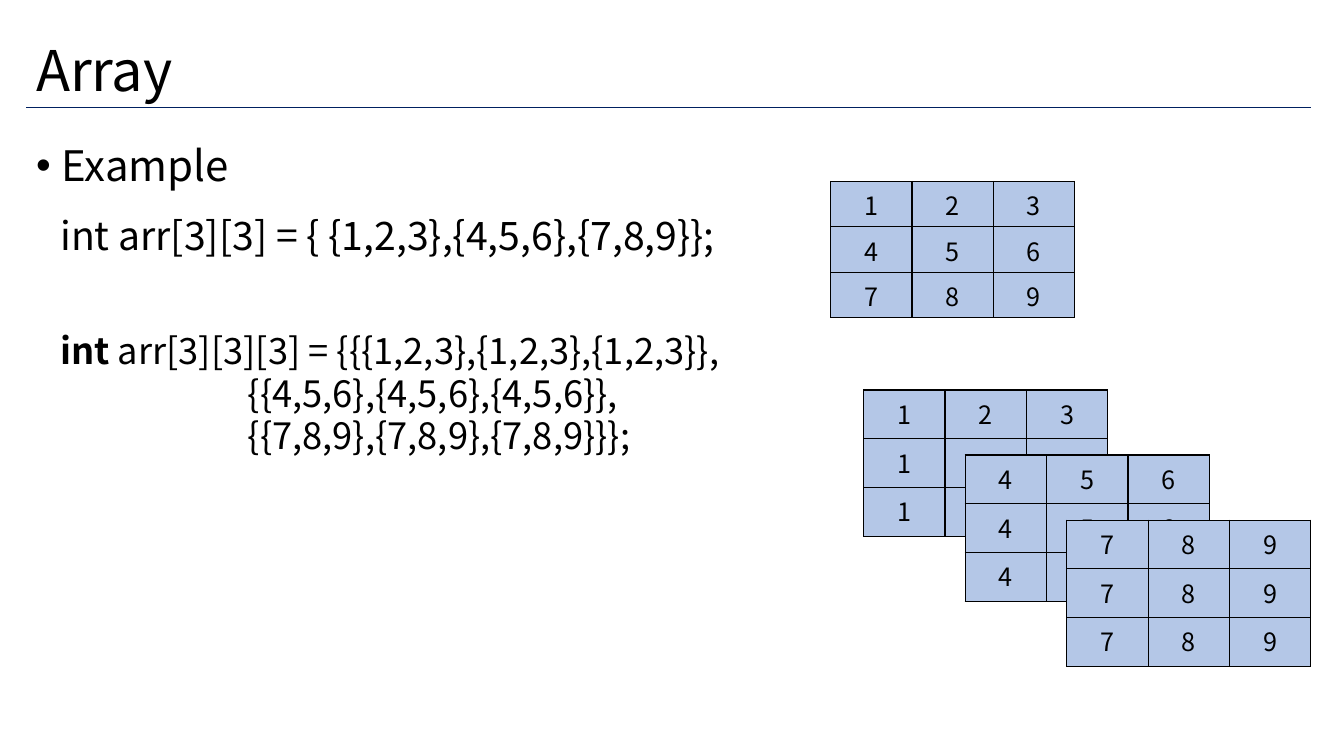
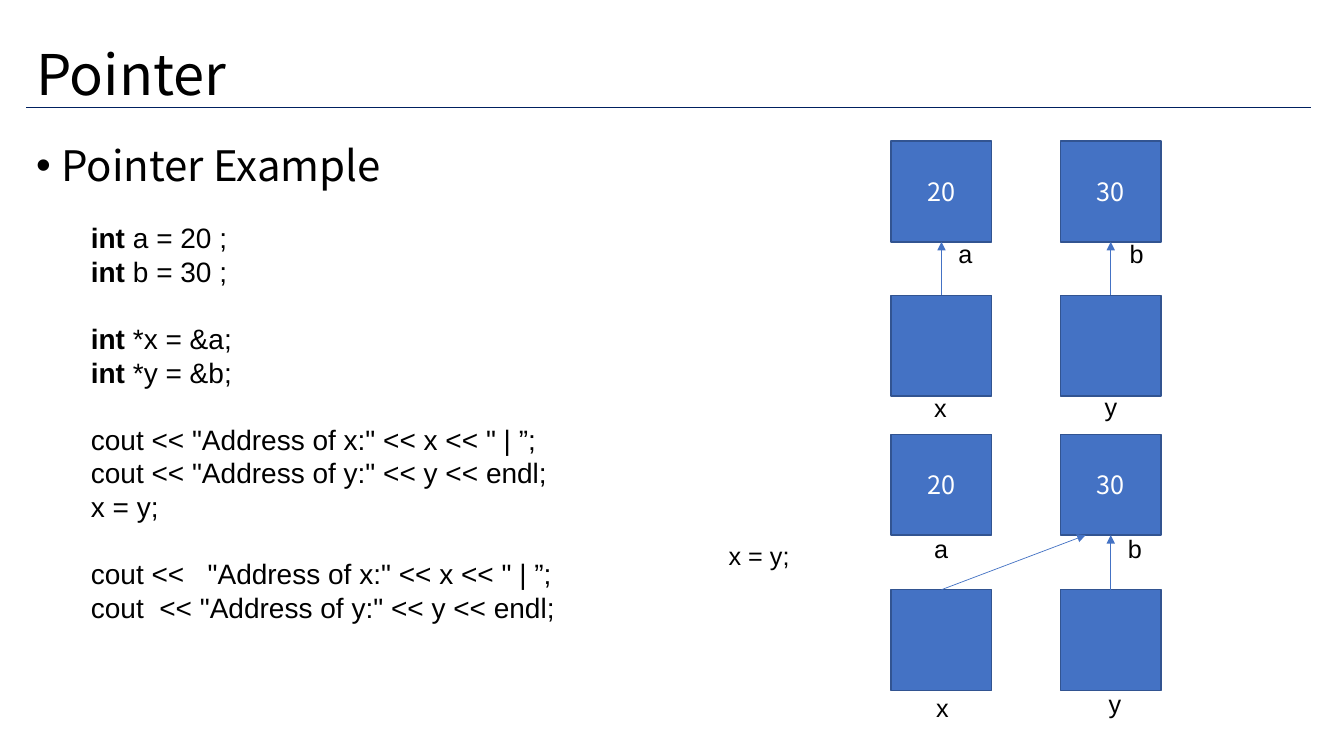
from lxml import etree
from pptx import Presentation
from pptx.dml.color import RGBColor
from pptx.enum import shapes, text
from pptx.oxml import ns
from pptx.util import Pt

COLORS = {
    "text": "000000", "white": "FFFFFF", "rule": "002060", "cell": "B4C7E7",
    "box": "4472C4", "box_line": "325491",
}
COLORS = {name: RGBColor.from_string(value) for name, value in COLORS.items()}
SANS = "Noto Sans CJK KR"
ARIAL = "Arial"


def add_text(slide, box, lines, size, font=SANS, spacing=None, wrap=True):
    frame = slide.shapes.add_textbox(*map(Pt, box)).text_frame
    frame.word_wrap = wrap
    for index, line in enumerate(lines):
        paragraph = frame.paragraphs[0] if index == 0 else frame.add_paragraph()
        paragraph.font.size = Pt(size)
        paragraph.font.name = font
        paragraph.font.color.rgb = COLORS["text"]
        paragraph.line_spacing = spacing
        if line.startswith("int ") and len(lines) > 1:
            paragraph.add_run().text = "int"
            paragraph.runs[0].font.bold = True
            line = line[3:]
        paragraph.add_run().text = line
    return frame


def add_line(slide, start, end, color, width, arrow=False):
    line = slide.shapes.add_connector(
        shapes.MSO_CONNECTOR.STRAIGHT, *map(Pt, (*start, *end)))
    line.line.color.rgb = COLORS[color]
    line.line.width = Pt(width)
    if arrow:
        etree.SubElement(line.line._get_or_add_ln(), ns.qn("a:tailEnd"), type="triangle")
    etree.SubElement(line._element.spPr, ns.qn("a:effectLst"))


presentation = Presentation()
presentation.slide_width = Pt(960)
presentation.slide_height = Pt(540)

slides = []
for title, title_top, heading in [("Array", 0, "Example"), ("Pointer", 2.9, "Pointer Example")]:
    slide = presentation.slides.add_slide(presentation.slide_layouts[6])
    slides.append(slide)
    frame = add_text(slide, (18.7, title_top, 932.4, 104.4), [title], 40, spacing=0.9)
    frame.vertical_anchor = text.MSO_ANCHOR.MIDDLE
    add_line(slide, (18.7, 77), (936.7, 77), "rule", 1)
    frame = add_text(slide, (18.7, 100, 387, 49), [heading], 30, spacing=0.9)
    properties = frame.paragraphs[0]._p.get_or_add_pPr()
    properties.set("marL", str(Pt(18)))
    properties.set("indent", str(Pt(-18)))
    etree.SubElement(properties, ns.qn("a:buFont"), typeface=ARIAL)
    etree.SubElement(properties, ns.qn("a:buChar"), char="•")
array_slide, pointer_slide = slides

add_text(array_slide, (36, 154, 517, 104.4),
         ["int arr[3][3] = { {1,2,3},{4,5,6},{7,8,9}};"], 28, spacing=0.8)
frame = add_text(array_slide, (36, 239, 517, 104.4), [
    "int arr[3][3][3] = {{{1,2,3},{1,2,3},{1,2,3}},",
    "{{4,5,6},{4,5,6},{4,5,6}},",
    "{{7,8,9},{7,8,9},{7,8,9}}};",
], 25.9, spacing=0.72)
for paragraph in frame.paragraphs[1:]:
    paragraph.space_before = Pt(8)
    paragraph._p.get_or_add_pPr().set("marL", str(Pt(134)))

rows = ["123", "456", "789"]
grids = [(593.3, 129.6, 32.4, rows)]
for layer, row in enumerate(rows):
    grids.append((617 + 72.5 * layer, 278.6 + 46.45 * layer, 34.8, [row] * 3))

for left, top, row_height, values in grids:
    table = array_slide.shapes.add_table(
        3, 3, Pt(left), Pt(top), Pt(174.3), Pt(3 * row_height)).table
    for row, digits in enumerate(values):
        table.rows[row].height = Pt(row_height)
        table.columns[row].width = Pt(58.1)
        for column, digit in enumerate(digits):
            cell = table.cell(row, column)
            cell.text = digit
            paragraph = cell.text_frame.paragraphs[0]
            paragraph.alignment = text.PP_ALIGN.CENTER
            paragraph.font.size = Pt(18)
            paragraph.font.name = SANS
            paragraph.font.bold = False
            paragraph.font.color.rgb = COLORS["text"]
            properties = cell._tc.get_or_add_tcPr()
            for side in ("lnL", "lnR", "lnT", "lnB"):
                border = etree.SubElement(properties, ns.qn("a:" + side), w=str(Pt(1)))
                fill = etree.SubElement(border, ns.qn("a:solidFill"))
                etree.SubElement(fill, ns.qn("a:srgbClr"), val=str(COLORS["text"]))
            cell.fill.solid()
            cell.fill.fore_color.rgb = COLORS["cell"]

code_blocks = [
    ["int a = 20 ;", "int b = 30 ;"],
    ["int *x = &a;", "int *y = &b;"],
    ['cout << "Address of x:" << x << " | ”;', 'cout << "Address of y:" << y << endl;', "x = y;"],
    ['cout <<   "Address of x:" << x << " | ”;', 'cout  << "Address of y:" << y << endl;'],
]
code_lines = [line for block in code_blocks for line in block]
frame = add_text(pointer_slide, (35.3, 154, 580, 298), code_lines, 20, ARIAL, Pt(24))
for paragraph in frame.paragraphs:
    paragraph._p.get_or_add_pPr().set("marL", str(Pt(22.5)))
first_line = 0
for block in code_blocks[:-1]:
    first_line += len(block)
    frame.paragraphs[first_line].space_before = Pt(24)

BOX = 72
COLUMNS = (636.5, 757.4)
STATES = [(100.8, 211), (310.3, 421.2)]
for value_top, pointer_top in STATES:
    for left, value in zip(COLUMNS, ("20", "30")):
        for top, label in ((value_top, value), (pointer_top, "")):
            shape = pointer_slide.shapes.add_shape(
                shapes.MSO_SHAPE.RECTANGLE, Pt(left), Pt(top), Pt(BOX), Pt(BOX))
            shape.shadow.inherit = False
            shape.fill.solid()
            shape.fill.fore_color.rgb = COLORS["box"]
            shape.line.color.rgb = COLORS["box_line"]
            shape.line.width = Pt(1)
            if label:
                shape.text_frame.text = label
                paragraph = shape.text_frame.paragraphs[0]
                paragraph.alignment = text.PP_ALIGN.CENTER
                paragraph.font.size = Pt(18)
                paragraph.font.name = SANS
                paragraph.font.color.rgb = COLORS["white"]

x_center, y_center = (left + BOX / 2 for left in COLUMNS)
for (value_top, pointer_top), x_target in zip(STATES, (x_center, 775.4)):
    for start, end in ((x_center, x_target), (y_center, y_center)):
        add_line(pointer_slide, (start, pointer_top), (end, value_top + BOX), "box", 0.5, arrow=True)

labels = [
    ("x = y;", 513.4, 382.3),
    ("a", 677.5, 167), ("b", 799.9, 167), ("x", 660.2, 276.5), ("y", 781.9, 275.8),
    ("a", 660.2, 377.3), ("b", 798.5, 377.3), ("x", 661.7, 491), ("y", 784.8, 488.2),
]
for label, left, top in labels:
    width = 59 if len(label) > 1 else 24.5
    add_text(pointer_slide, (left, top, width, 28.8), [label], 18, ARIAL, wrap=False)

presentation.save("out.pptx")
